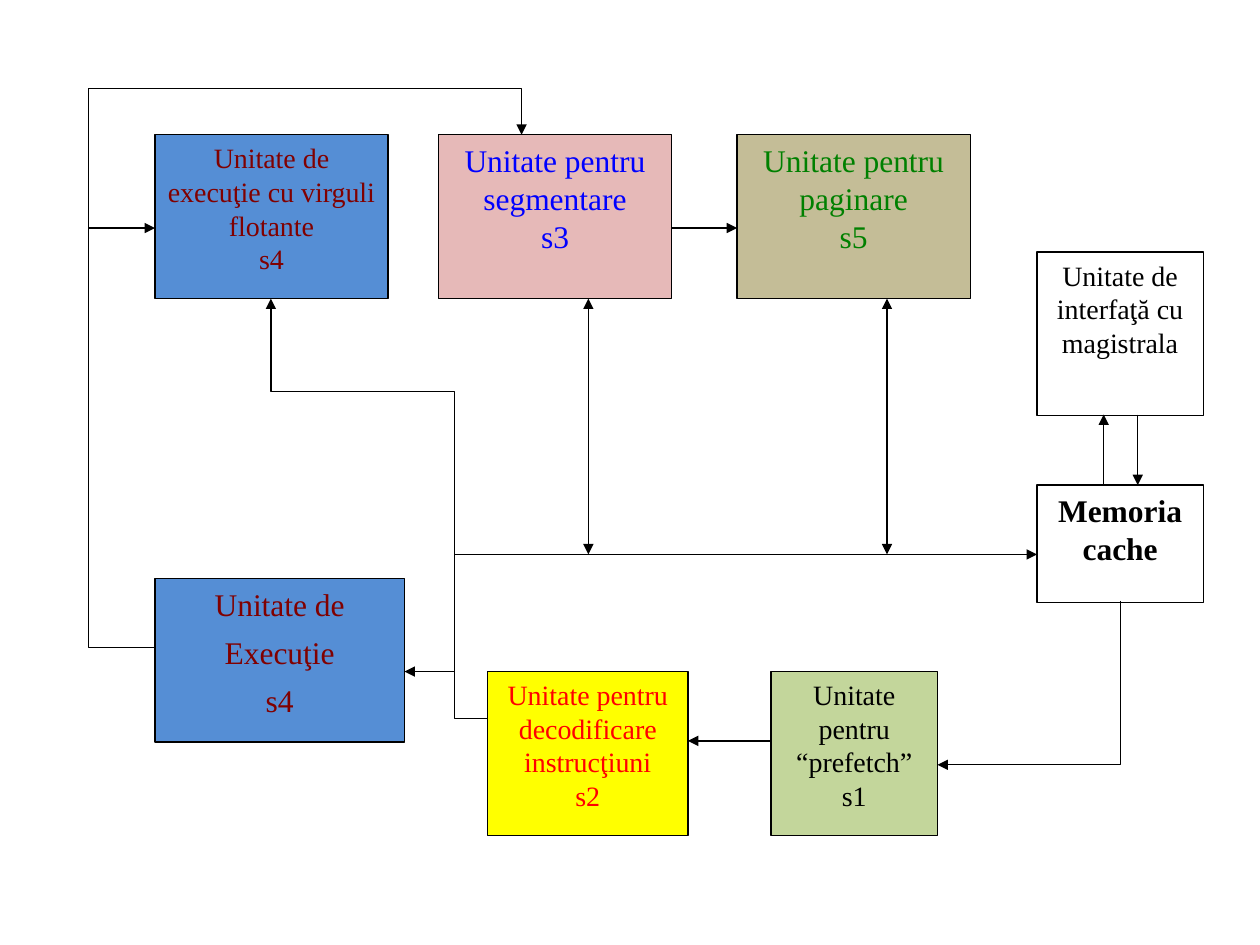
from dataclasses import dataclass

from lxml import etree
from pptx import Presentation
from pptx.dml.color import RGBColor
from pptx.enum import shapes, text
from pptx.oxml import ns
from pptx.util import Inches, Pt


@dataclass(frozen=True)
class Theme:
    font: str = "Times New Roman"
    small: int = 16
    large: int = 18
    line_width: float = 0.75
    black: str = "000000"
    white: str = "FFFFFF"
    blue_fill: str = "558ED5"
    pink_fill: str = "E6B9B8"
    tan_fill: str = "C4BD97"
    green_fill: str = "C3D69B"
    yellow_fill: str = "FFFF00"
    maroon: str = "800000"
    blue: str = "0000FF"
    green: str = "008000"
    red: str = "FF0000"


theme = Theme()


def style_line(shape):
    shape.line.color.rgb = RGBColor.from_string(theme.black)
    shape.line.width = Pt(theme.line_width)


def add_arrowheads(shape, ends=("tailEnd",)):
    line = shape.line._get_or_add_ln()
    for end in ends:
        etree.SubElement(line, ns.qn(f"a:{end}"), type="triangle")


presentation = Presentation()
presentation.slide_width = Inches(10)
presentation.slide_height = Inches(7.5)
slide = presentation.slides.add_slide(presentation.slide_layouts[6])

# Processor units: left, top, width, height, fill, font colour, size, bold, space after, lines
top_row, bottom_row, unit_height = 1.07, 5.33, 1.3
wide, narrow = 1.85, 1.32
units = [
    (1.23, top_row, wide, unit_height, theme.blue_fill, theme.maroon, theme.small, False, 0,
     ["Unitate de execuţie cu virguli flotante", "s4"]),
    (3.48, top_row, wide, unit_height, theme.pink_fill, theme.blue, theme.large, False, 0,
     ["Unitate pentru segmentare", "s3"]),
    (5.85, top_row, wide, unit_height, theme.tan_fill, theme.green, theme.large, False, 0,
     ["Unitate pentru paginare", "s5"]),
    (8.23, 2, narrow, unit_height, theme.white, theme.black, theme.small, False, 0,
     ["Unitate de interfaţă cu magistrala"]),
    (8.23, 3.85, narrow, 0.93, theme.white, theme.black, theme.large, True, 0,
     ["Memoria", "cache"]),
    (6.12, bottom_row, narrow, unit_height, theme.green_fill, theme.black, theme.small, False, 0,
     ["Unitate pentru “prefetch”", "s1"]),
    (3.87, bottom_row, 1.59, unit_height, theme.yellow_fill, theme.red, theme.small, False, 0,
     ["Unitate pentru decodificare instrucţiuni", "s2"]),
    (1.23, 4.59, 1.98, unit_height, theme.blue_fill, theme.maroon, theme.large, False, 6,
     ["Unitate de", "Execuţie", "s4"]),
]
for left, top, width, height, fill, color, size, bold, space_after, lines in units:
    unit = slide.shapes.add_shape(
        shapes.MSO_SHAPE.RECTANGLE, Inches(left), Inches(top), Inches(width), Inches(height))
    unit.shadow.inherit = False
    unit.fill.solid()
    unit.fill.fore_color.rgb = RGBColor.from_string(fill)
    style_line(unit)
    frame = unit.text_frame
    frame.word_wrap = True
    frame.vertical_anchor = text.MSO_ANCHOR.TOP
    for index, line_text in enumerate(lines):
        paragraph = frame.add_paragraph() if index else frame.paragraphs[0]
        paragraph.text = line_text
        paragraph.alignment = text.PP_ALIGN.CENTER
        paragraph.space_after = Pt(space_after)
        paragraph.font.name = theme.font
        paragraph.font.size = Pt(size)
        paragraph.font.bold = bold
        paragraph.font.color.rgb = RGBColor.from_string(color)

# Bent signal paths
bent_paths = [
    [(1.23, 5.14), (0.7, 5.14), (0.7, 0.7), (4.14, 0.7), (4.14, 1.07)],
    [(3.87, 5.7), (3.61, 5.7), (3.61, 3.11), (2.15, 3.11), (2.15, 2.37)],
    [(8.89, 4.77), (8.89, 6.07), (7.44, 6.07)],
]
for points in bent_paths:
    start, *corners = [(Inches(x), Inches(y)) for x, y in points]
    builder = slide.shapes.build_freeform(*start)
    builder.add_line_segments(corners, close=False)
    bent_path = builder.convert_to_shape()
    bent_path.shadow.inherit = False
    bent_path.fill.background()
    style_line(bent_path)
    add_arrowheads(bent_path)

# Straight arrows: start, end, arrowheads
one_way, two_way = ("tailEnd",), ("headEnd", "tailEnd")
bus = 4.4
arrows = [
    (0.7, 1.81, 1.23, 1.81, one_way),
    (3.61, 5.33, 3.21, 5.33, one_way),
    (3.61, bus, 8.23, bus, one_way),
    (9.03, 3.29, 9.03, 3.85, one_way),
    (8.76, 3.85, 8.76, 3.29, one_way),
    (7.04, 2.37, 7.04, bus, two_way),
    (4.67, 2.37, 4.67, bus, two_way),
    (6.12, 5.88, 5.46, 5.88, one_way),
    (5.33, 1.81, 5.85, 1.81, one_way),
]
for x1, y1, x2, y2, ends in arrows:
    arrow = slide.shapes.add_connector(
        shapes.MSO_CONNECTOR.STRAIGHT, Inches(x1), Inches(y1), Inches(x2), Inches(y2))
    style_line(arrow)
    add_arrowheads(arrow, ends)
    etree.SubElement(arrow._element.spPr, ns.qn("a:effectLst"))

presentation.save("out.pptx")
